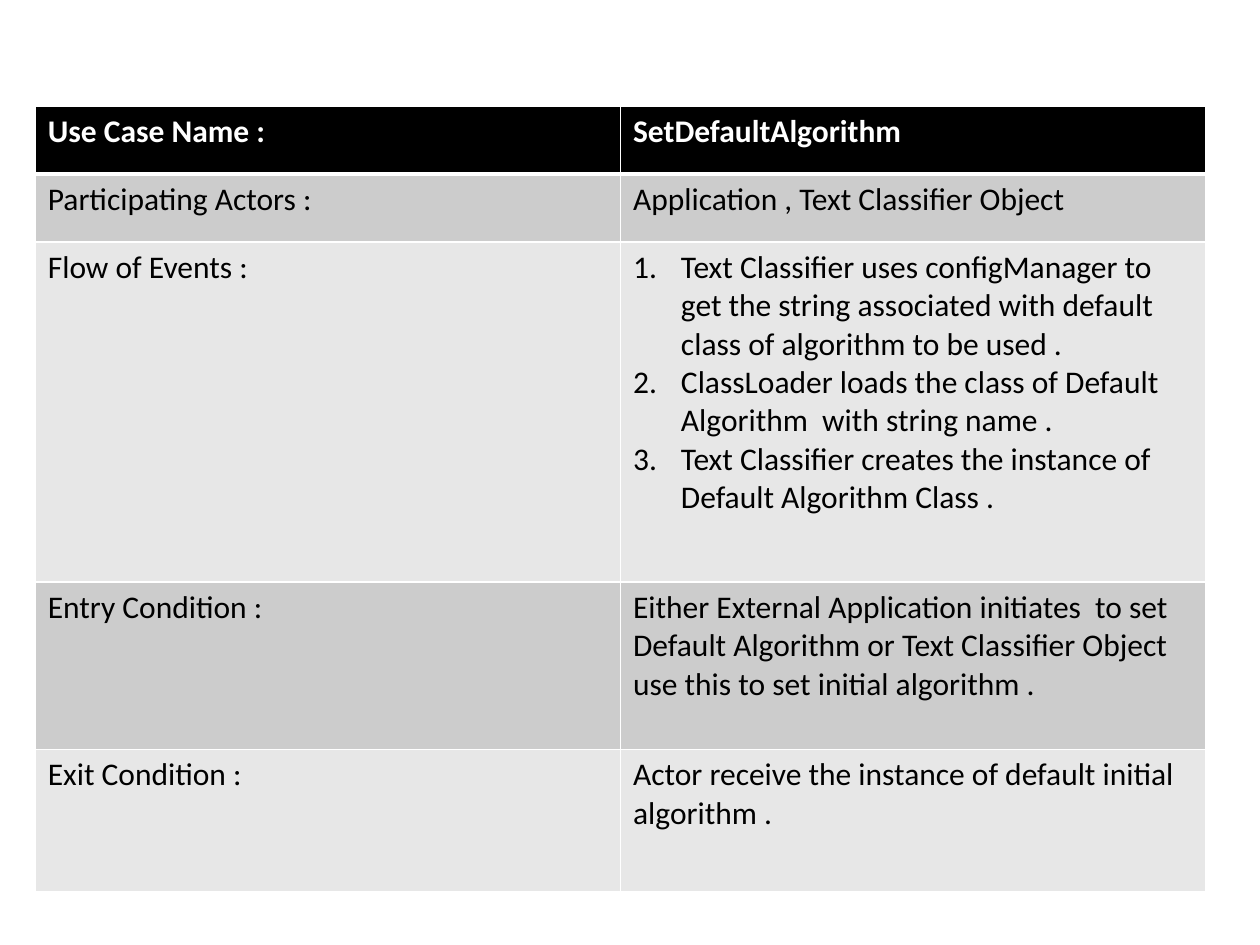
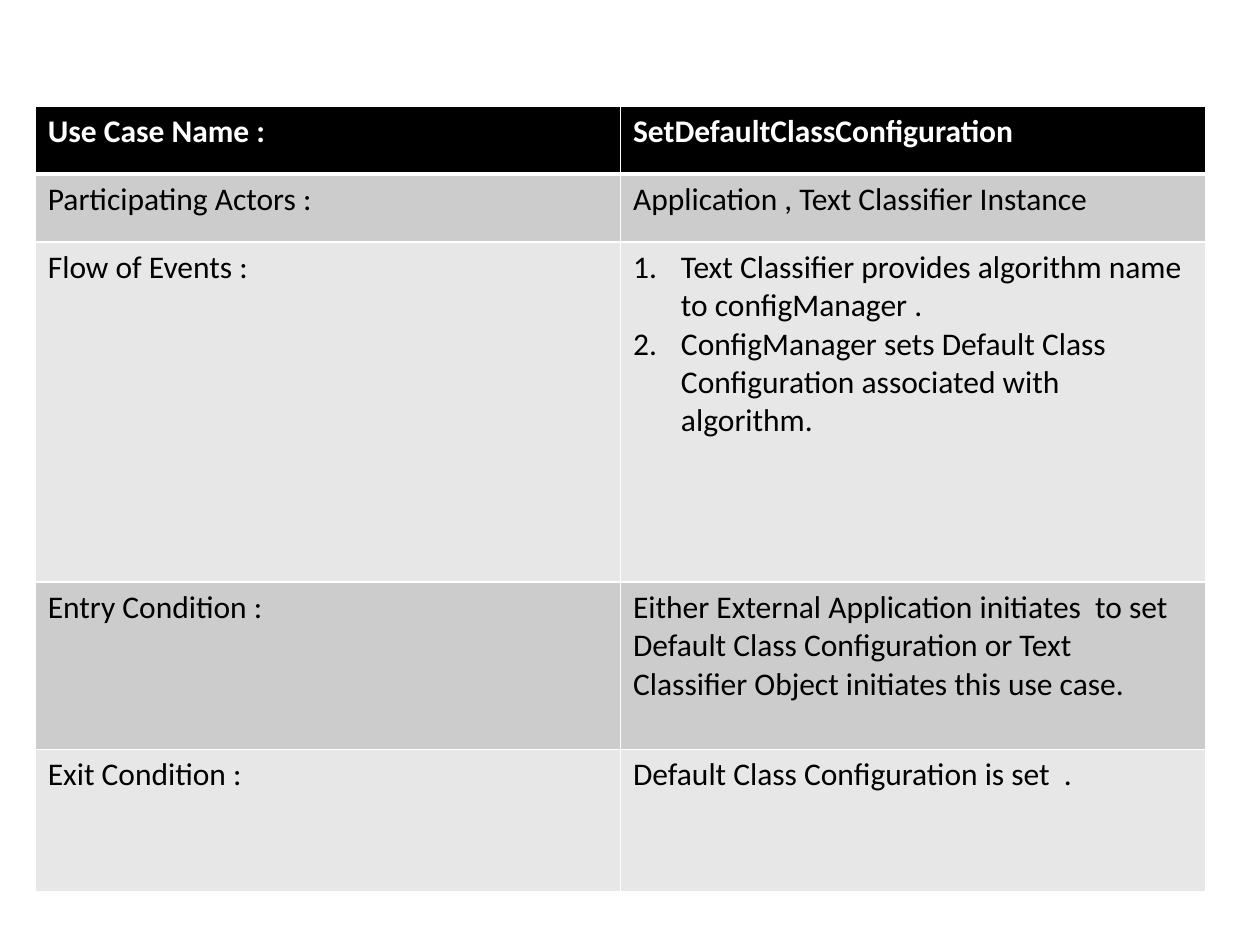
from lxml.etree import SubElement
from pptx import Presentation
from pptx.dml.color import RGBColor
from pptx.oxml.ns import qn
from pptx.util import Inches, Pt

COLORS = {
    "header": "000000",
    "band_dark": "CCCCCC",
    "band_light": "E7E7E7",
    "border": "FFFFFF",
    "header_text": "FFFFFF",
    "body_text": "000000",
}
FONT = "Calibri"
FONT_SIZE = Pt(18)
NUMBER_INDENT = Inches(0.38)
TABLE_BOX = (Inches(0.28), Inches(0.84), Inches(9.29), Inches(6.24))
ROW_HEIGHTS = (0.54, 0.54, 2.7, 1.33, 1.13)
LABELS = (
    "Use Case Name :",
    "Participating Actors :",
    "Flow of Events :",
    "Entry Condition :",
    "Exit Condition :",
)

# One entry per label; a list is shown as numbered steps.
USE_CASES = (
    (
        "SetDefaultAlgorithm",
        "Application , Text Classifier Object",
        [
            "Text Classifier uses configManager to get the string associated "
            "with default class of algorithm to be used .",
            "ClassLoader loads the class of Default Algorithm  with string name .",
            "Text Classifier creates the instance of Default Algorithm Class .",
        ],
        "Either External Application initiates  to set Default Algorithm or "
        "Text Classifier Object use this to set initial algorithm .",
        "Actor receive the instance of default initial algorithm .",
    ),
    (
        "SetDefaultClassConfiguration",
        "Application , Text Classifier Instance",
        [
            "Text Classifier provides algorithm name to configManager .",
            "ConfigManager sets Default Class Configuration associated with algorithm.",
        ],
        "Either External Application initiates  to set Default Class Configuration "
        "or Text Classifier Object initiates this use case.",
        "Default Class Configuration is set  .",
    ),
)


def color(name):
    """Return the palette colour with this name."""
    return RGBColor.from_string(COLORS[name])


def set_borders(cell, top, bottom):
    """Draw the cell borders, with 1 pt sides and the given top and bottom."""
    properties = cell._tc.get_or_add_tcPr()
    widths = {"lnL": 1, "lnR": 1, "lnT": top, "lnB": bottom}
    for tag, width in widths.items():
        line = SubElement(properties, qn(f"a:{tag}"), w=str(Pt(width)))
        fill = SubElement(line, qn("a:solidFill"))
        SubElement(fill, qn("a:srgbClr"), val=COLORS["border"])


def number_paragraph(para):
    """Give the paragraph an automatic number and a hanging indent."""
    properties = para._p.get_or_add_pPr()
    properties.set("marL", str(NUMBER_INDENT))
    properties.set("indent", str(-NUMBER_INDENT))
    SubElement(properties, qn("a:buFont"), typeface="+mj-lt")
    SubElement(properties, qn("a:buAutoNum"), type="arabicPeriod")


def fill_cell(cell, content, row):
    """Write and style one cell according to its row."""
    is_header = row == 0
    set_borders(cell, top=3 if row == 1 else 1, bottom=3 if is_header else 1)
    band = "header" if is_header else "band_dark" if row % 2 else "band_light"
    cell.fill.solid()
    cell.fill.fore_color.rgb = color(band)

    numbered = isinstance(content, list)
    cell.text = "\n".join(content) if numbered else content
    for para in cell.text_frame.paragraphs:
        if numbered:
            number_paragraph(para)
        para.font.name = FONT
        para.font.size = FONT_SIZE
        para.font.bold = is_header
        para.font.color.rgb = color("header_text" if is_header else "body_text")


def add_use_case_table(page, box, contents):
    """Place a table of labels and contents in the box."""
    left, top, width, height = box
    table = page.shapes.add_table(len(LABELS), 2, left, top, width, height).table
    for column in table.columns:
        column.width = width // 2
    for row, pair in enumerate(zip(LABELS, contents)):
        table.rows[row].height = int(height * ROW_HEIGHTS[row] / sum(ROW_HEIGHTS))
        for column, content in enumerate(pair):
            fill_cell(table.cell(row, column), content, row)


def build_deck():
    """Build one page for each use case."""
    deck = Presentation()
    deck.slide_width, deck.slide_height = Inches(10), Inches(7.5)
    for contents in USE_CASES:
        page = deck.slides.add_slide(deck.slide_layouts[6])
        add_use_case_table(page, TABLE_BOX, contents)
    return deck


build_deck().save("out.pptx")
